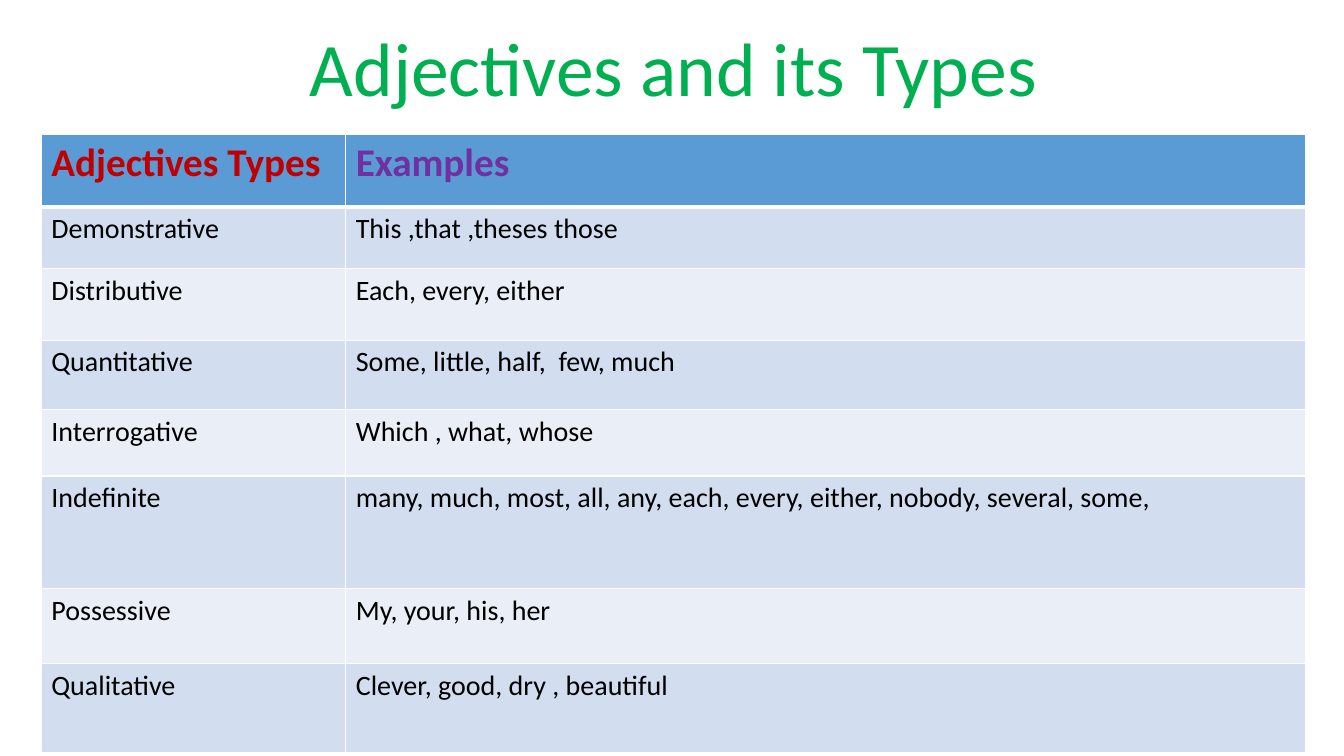
from lxml import etree
from pptx import Presentation
from pptx.dml.color import RGBColor
from pptx.enum.text import MSO_ANCHOR, PP_ALIGN
from pptx.oxml.ns import qn
from pptx.util import Pt

BOTTOM = MSO_ANCHOR.BOTTOM
CENTER = PP_ALIGN.CENTER

FONT = "Calibri"
WHITE, BLACK = "FFFFFF", "000000"
HEADER_FILL = "5B9BD5"
BAND_FILLS = ["D2DEEF", "EAEFF7"]
HEADER_COLORS = ["C00000", "7030A0"]

LEFT, WIDTH = 29.5, 903
COLUMN_WIDTHS = [217.5, 685.5]
HEADER_HEIGHT = 52

HEADERS = ["Adjectives Types", "Examples"]
# Type, examples, row height
ADJECTIVES = [
    ("Demonstrative", "This ,that ,theses those", 44),
    ("Distributive", "Each, every, either", 51),
    ("Quantitative", "Some, little, half,  few, much", 49.5),
    ("Interrogative", "Which , what, whose", 47.5),
    ("Indefinite", "many, much, most, all, any, each, every, either, "
                   "nobody, several, some,", 80.5),
    ("Possessive", "My, your, his, her", 53.5),
    ("Qualitative", "Clever, good, dry , beautiful", 64),
]


def rgb(color):
    return RGBColor.from_string(color)


def set_text(frame, text, size, color, bold=False):
    para = frame.paragraphs[0]
    para.text = text
    para.font.name = FONT
    para.font.size = Pt(size)
    para.font.bold = bold
    para.font.color.rgb = rgb(color)
    return para


def set_borders(cell, top, bottom):
    """Draw white cell borders; the sides are 1 pt wide."""
    properties = cell._tc.get_or_add_tcPr()
    widths = {"a:lnL": 1, "a:lnR": 1, "a:lnT": top, "a:lnB": bottom}
    for position, (tag, width) in enumerate(widths.items()):
        line = etree.Element(qn(tag), w=str(Pt(width)))
        fill = etree.SubElement(line, qn("a:solidFill"))
        etree.SubElement(fill, qn("a:srgbClr"), val=WHITE)
        properties.insert(position, line)


def add_title(page, text):
    box = page.shapes.add_textbox(Pt(LEFT), Pt(16.5), Pt(WIDTH), Pt(67.5))
    frame = box.text_frame
    frame.word_wrap = True
    frame.vertical_anchor = BOTTOM
    para = set_text(frame, text, 54, "00B050")
    para.alignment = CENTER
    para.line_spacing = 0.9


def fill_row(table, index, texts, height, fill, colors, size, bold=False):
    table.rows[index].height = Pt(height)
    for cell, text, color in zip(table.rows[index].cells, texts, colors):
        set_text(cell.text_frame, text, size, color, bold)
        cell.fill.solid()
        cell.fill.fore_color.rgb = rgb(fill)
        # A thicker rule separates the header from the body
        set_borders(cell, 3 if index == 1 else 1, 3 if index == 0 else 1)


def add_adjective_table(page):
    heights = [HEADER_HEIGHT] + [height for _, _, height in ADJECTIVES]
    table = page.shapes.add_table(len(heights), len(HEADERS), Pt(LEFT), Pt(96),
                                  Pt(WIDTH), Pt(sum(heights))).table
    for column, width in zip(table.columns, COLUMN_WIDTHS):
        column.width = Pt(width)
    fill_row(table, 0, HEADERS, HEADER_HEIGHT, HEADER_FILL, HEADER_COLORS,
             28, bold=True)
    for index, (kind, examples, height) in enumerate(ADJECTIVES, start=1):
        fill_row(table, index, (kind, examples), height,
                 BAND_FILLS[(index - 1) % 2], [BLACK, BLACK], 20)


def main():
    deck = Presentation()
    deck.slide_width, deck.slide_height = Pt(960), Pt(540)
    page = deck.slides.add_slide(deck.slide_layouts[6])
    add_title(page, "Adjectives and its Types")
    add_adjective_table(page)
    deck.save("out.pptx")


if __name__ == "__main__":
    main()
